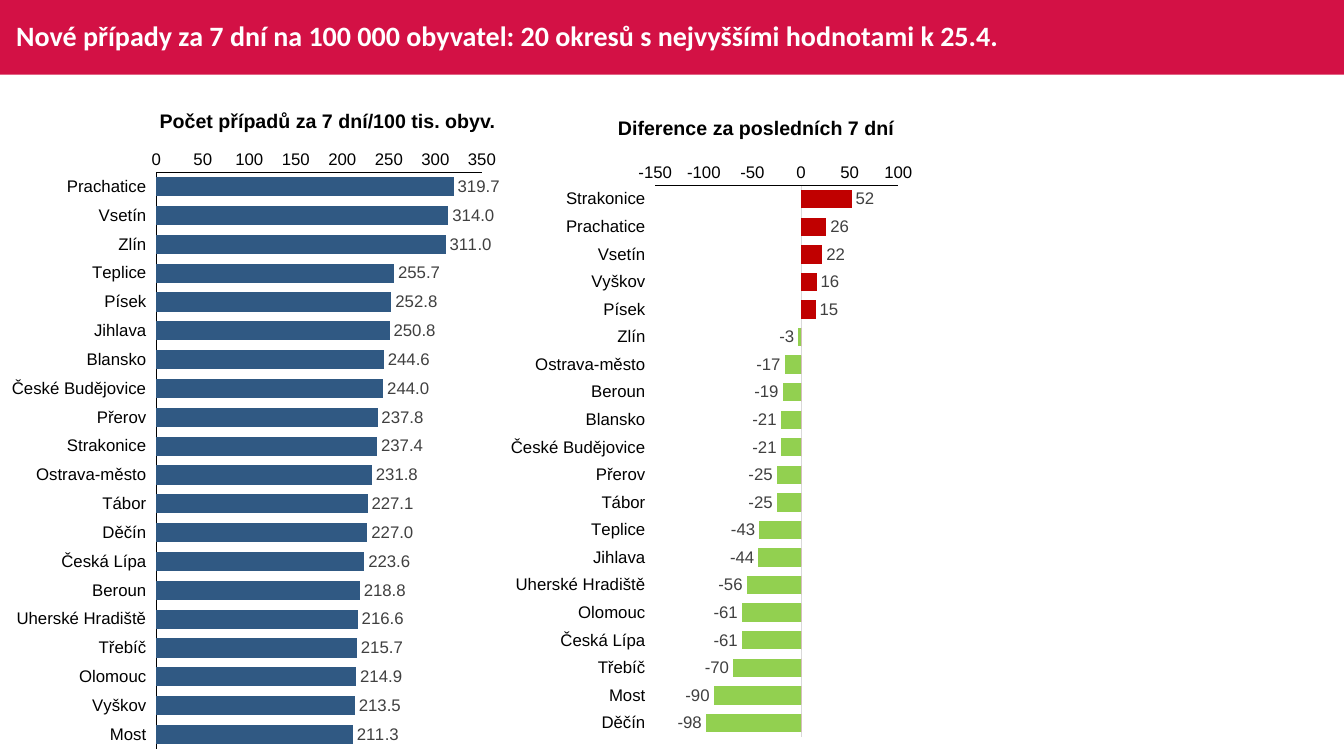
from lxml import etree
from pptx import Presentation
from pptx.chart.data import CategoryChartData
from pptx.dml.color import RGBColor
from pptx.enum.chart import (XL_CHART_TYPE, XL_LABEL_POSITION, XL_TICK_LABEL_POSITION,
                             XL_TICK_MARK)
from pptx.enum.shapes import MSO_SHAPE
from pptx.enum.text import MSO_ANCHOR, MSO_AUTO_SIZE, PP_ALIGN
from pptx.oxml.ns import qn
from pptx.util import Inches, Pt

CRIMSON = RGBColor(0xD3, 0x11, 0x45)
BLUE = RGBColor(0x30, 0x59, 0x83)
GREEN = RGBColor(0x92, 0xD0, 0x50)
RED = RGBColor(0xC0, 0x00, 0x00)
BLACK = RGBColor(0x00, 0x00, 0x00)
WHITE = RGBColor(0xFF, 0xFF, 0xFF)
DARK_GREY = RGBColor(0x40, 0x40, 0x40)
LIGHT_GREY = RGBColor(0xD9, 0xD9, 0xD9)

CASES = {
    "Prachatice": 319.7, "Vsetín": 314.0, "Zlín": 311.0, "Teplice": 255.7, "Písek": 252.8,
    "Jihlava": 250.8, "Blansko": 244.6, "České Budějovice": 244.0, "Přerov": 237.8,
    "Strakonice": 237.4, "Ostrava-město": 231.8, "Tábor": 227.1, "Děčín": 227.0,
    "Česká Lípa": 223.6, "Beroun": 218.8, "Uherské Hradiště": 216.6, "Třebíč": 215.7,
    "Olomouc": 214.9, "Vyškov": 213.5, "Most": 211.3,
}
CHANGES = {
    "Strakonice": 52, "Prachatice": 26, "Vsetín": 22, "Vyškov": 16, "Písek": 15, "Zlín": -3,
    "Ostrava-město": -17, "Beroun": -19, "Blansko": -21, "České Budějovice": -21,
    "Přerov": -25, "Tábor": -25, "Teplice": -43, "Jihlava": -44, "Uherské Hradiště": -56,
    "Olomouc": -61, "Česká Lípa": -61, "Třebíč": -70, "Most": -90, "Děčín": -98,
}


def set_font(font, size, color, name="Arial", bold=False):
    font.name, font.size, font.bold = name, Pt(size), bold
    font.color.rgb = color


def add_header(slide, text, width, height):
    banner = slide.shapes.add_shape(MSO_SHAPE.RECTANGLE, 0, 0, Inches(width), Inches(height))
    banner.shadow.inherit = False
    banner.fill.solid()
    banner.fill.fore_color.rgb = CRIMSON
    banner.line.fill.background()

    title = slide.shapes.title
    title._element.addprevious(banner._element)
    title.left, title.top = Inches(0.06), 0
    title.width, title.height = Inches(12.01), Inches(height)
    tf = title.text_frame
    tf.auto_size = MSO_AUTO_SIZE.NONE
    tf.vertical_anchor = MSO_ANCHOR.MIDDLE
    p = tf.paragraphs[0]
    p.alignment = PP_ALIGN.LEFT
    p.line_spacing = 0.9
    r = p.add_run()
    r.text = text
    set_font(r.font, 20, WHITE, "Calibri", True)


def add_heading(slide, text, box, alignment):
    sp = slide.shapes.add_textbox(*map(Inches, box))
    tf = sp.text_frame
    tf.word_wrap = False
    tf.auto_size = MSO_AUTO_SIZE.SHAPE_TO_FIT_TEXT
    p = tf.paragraphs[0]
    p.alignment = alignment
    r = p.add_run()
    r.text = text
    set_font(r.font, 14, BLACK, bold=True)


def place_plot(chart, box, plot_box):
    """Fix the inner plot area; plot_box is in inches from the chart's corner."""
    area = chart._chartSpace.chart.plotArea
    for old in area.findall(qn("c:layout")):
        area.remove(old)
    layout = etree.Element(qn("c:layout"))
    manual = etree.SubElement(layout, qn("c:manualLayout"))
    x, y, w, h = plot_box
    settings = {"layoutTarget": "inner", "xMode": "edge", "yMode": "edge",
                "x": x / box[2], "y": y / box[3], "w": w / box[2], "h": h / box[3]}
    for tag, value in settings.items():
        etree.SubElement(manual, qn("c:" + tag)).set("val", str(value))
    area.insert(0, layout)


def format_axis(axis, line_color):
    axis.has_major_gridlines = False
    axis.major_tick_mark = axis.minor_tick_mark = XL_TICK_MARK.NONE
    axis.format.line.color.rgb = line_color
    axis.format.line.width = Pt(0.75)
    set_font(axis.tick_labels.font, 12, BLACK)


def add_bar_chart(slide, box, plot_box, categories, series, limits, number_format,
                  category_line=BLACK):
    """Draw horizontal bars; series is a list of (values, colour), the first one labelled."""
    data = CategoryChartData()
    data.categories = categories
    for number, (values, _) in enumerate(series, 1):
        data.add_series(f"Series {number}", values)
    chart = slide.shapes.add_chart(XL_CHART_TYPE.BAR_CLUSTERED, *map(Inches, box), data).chart
    chart.has_title = chart.has_legend = False
    set_font(chart.font, 10, BLACK)
    place_plot(chart, box, plot_box)

    format_axis(chart.category_axis, category_line)
    chart.category_axis.reverse_order = True
    chart.category_axis.tick_label_position = XL_TICK_LABEL_POSITION.LOW
    axis = chart.value_axis
    format_axis(axis, BLACK)
    axis.minimum_scale, axis.maximum_scale = limits
    axis.major_unit = 50
    axis.tick_labels.number_format = "0"
    axis.tick_labels.number_format_is_linked = False

    plot = chart.plots[0]
    plot.gap_width = 50
    plot.overlap = 100 if len(series) > 1 else 0
    plot.vary_by_categories = False
    for bars, (_, color) in zip(plot.series, series):
        bars.invert_if_negative = False
        bars.format.fill.solid()
        bars.format.fill.fore_color.rgb = color
    labels = plot.series[0].data_labels
    labels.show_value = True
    labels.position = XL_LABEL_POSITION.OUTSIDE_END
    labels.number_format = number_format
    labels.number_format_is_linked = False
    set_font(labels.font, 12, DARK_GREY)


def add_cases(slide):
    add_bar_chart(slide, (0.08, 1.37, 4.94, 6.19), (1.47, 0.34, 3.23, 5.72),
                  list(CASES), [(list(CASES.values()), BLUE)], (0, 350), "#,##0.0")
    add_heading(slide, "Počet případů za 7 dní/100 tis. obyv.", (1.48, 1.03, 3.54, 0.34),
                PP_ALIGN.CENTER)


def add_changes(slide):
    values = list(CHANGES.values())
    falls = [min(v, 0) for v in values]
    rises = [max(v, 0) for v in values]
    add_heading(slide, "Diference za posledních 7 dní", (6.03, 1.1, 2.95, 0.34),
                PP_ALIGN.LEFT)
    add_bar_chart(slide, (4.98, 1.5, 4.15, 5.93), (1.52, 0.34, 2.41, 5.47), list(CHANGES),
                  [(values, CRIMSON), (falls, GREEN), (rises, RED)], (-150, 100), "#,##0",
                  LIGHT_GREY)


def main():
    prs = Presentation()
    prs.slide_width, prs.slide_height = Inches(13.33), Inches(7.5)
    slide = prs.slides.add_slide(prs.slide_layouts[5])
    add_header(slide, "Nové případy za 7 dní na 100 000 obyvatel: "
               "20 okresů s nejvyššími hodnotami k 25.4.", 13.33, 0.74)
    add_cases(slide)
    add_changes(slide)
    prs.save("out.pptx")


if __name__ == "__main__":
    main()
